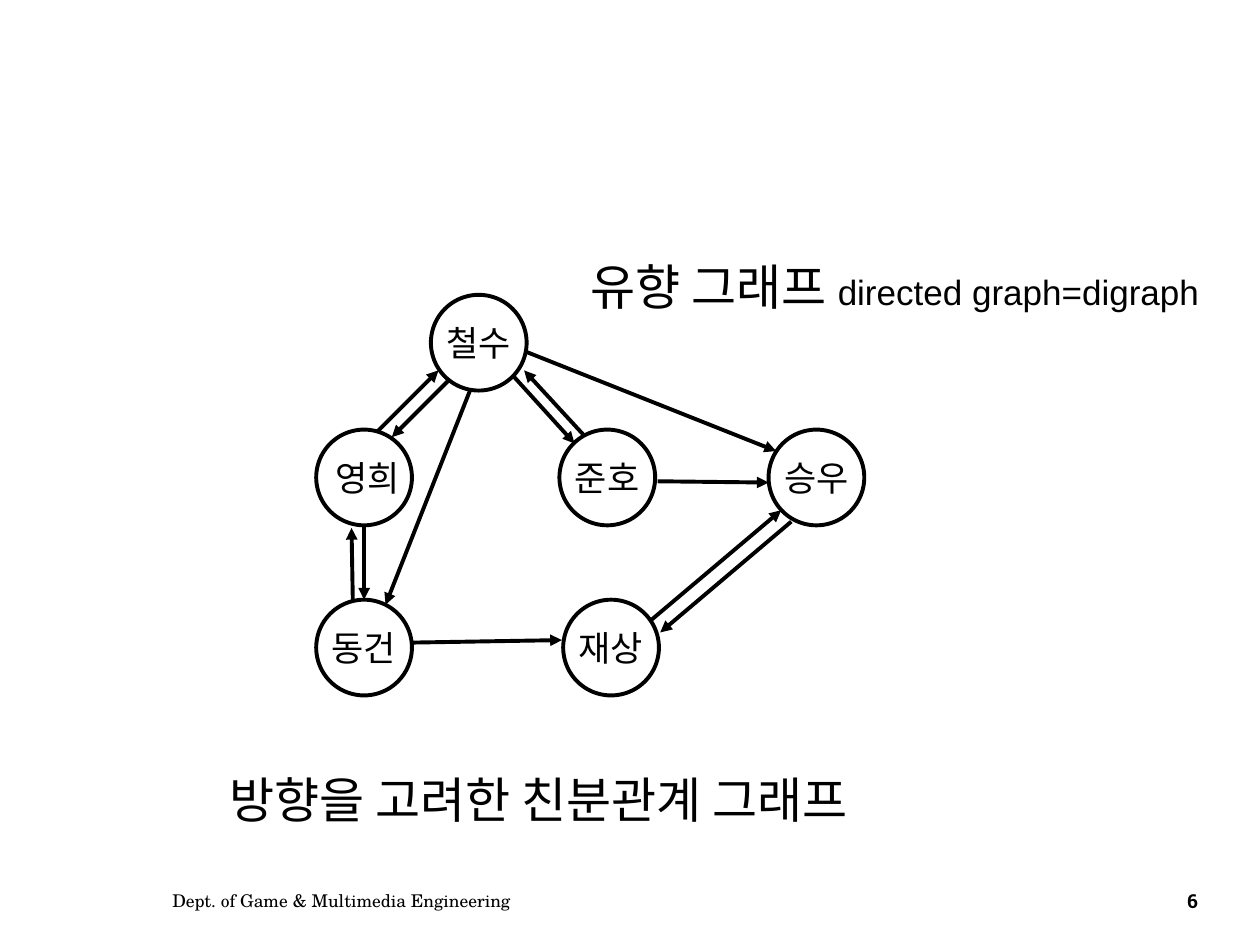
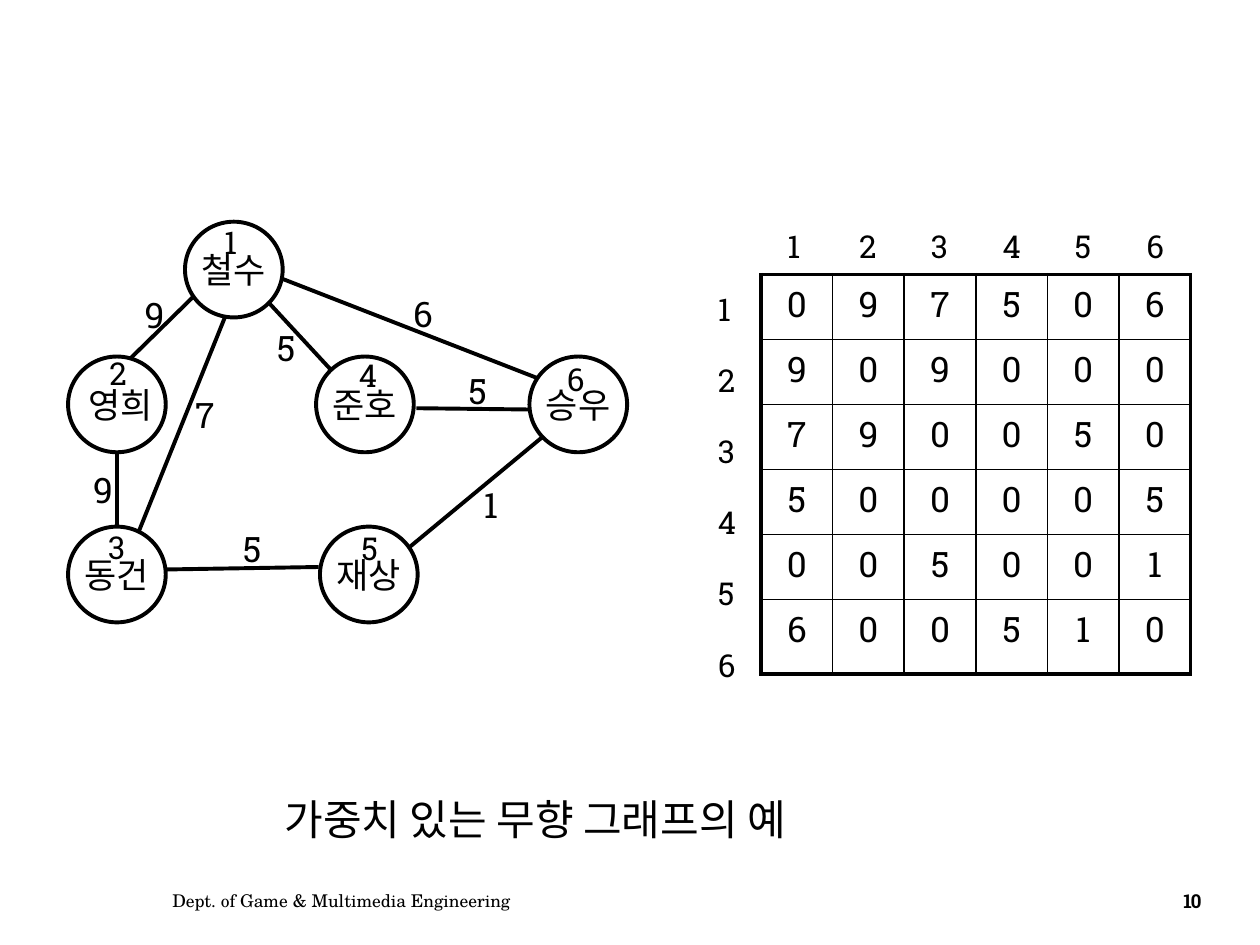
from lxml import etree
from pptx import Presentation
from pptx import util as u
from pptx.dml.color import RGBColor
from pptx.enum import shapes, text
from pptx.oxml.ns import qn

BLACK = RGBColor(0x00, 0x00, 0x00)
HANGUL = "Noto Sans CJK KR"
SLAB = "Roboto Slab"
SERIF = "TeX Gyre Schola"
SANS = "Arial"
BOLD_LINE = 2.25
THIN_LINE = 1
NODE = 0.76

NODES = [
    ("철수", 3.42, 2.34), (" 영희", 2.51, 3.41), ("동건", 2.51, 4.76),
    ("준호", 4.44, 3.41), ("재상", 4.47, 4.76), ("승우", 6.1, 3.41),
]
EDGES = [
    (2.99, 3.43, 3.48, 2.94), (4.17, 2.79, 6.16, 3.58),
    (4.07, 2.98, 4.56, 3.52), (3.27, 5.1, 4.46, 5.08),
    (5.22, 3.82, 6.1, 3.83), (5.17, 4.92, 6.2, 4.05),
    (2.89, 4.17, 2.89, 4.76), (3.73, 3.1, 3.06, 4.8),
]
RETURNS = [
    (3.56, 3.02, 3.11, 3.47), (2.8, 4.76, 2.79, 4.19),
    (6.28, 4.14, 5.24, 5.02), (4.63, 3.45, 4.16, 2.94),
]
NUMBERS = [
    (1.68, 1.72), (0.77, 2.76), (0.76, 4.14),
    (2.75, 2.78), (2.77, 4.15), (4.4, 2.81),
]
WEIGHTS = [
    ("9", 1.05, 2.28), ("7", 1.45, 3.07), ("5", 2.1, 2.54), ("6", 3.18, 2.27),
    ("9", 0.64, 3.67), ("5", 3.62, 2.88), ("1", 3.74, 3.79), ("5", 1.83, 4.14),
]
MATRIX = ["097506", "909000", "790050", "500005", "005001", "600510"]


class Deck:
    def __init__(self):
        self.prs = Presentation()
        self.prs.slide_width = u.Inches(10)
        self.prs.slide_height = u.Inches(7.5)
        self.slide = None

    def page(self, number):
        self.slide = self.prs.slides.add_slide(self.prs.slide_layouts[6])
        self.label("Dept. of Game & Multimedia Engineering",
                   1.27, 6.95, 4.59, 0.4, 10, SERIF, fixed=True)
        para = self.label(number, 9.2, 6.95, 0.53, 0.4, 11, SLAB, fixed=True)
        para.alignment = text.PP_ALIGN.CENTER
        para.font.bold = True
        para._p.pPr.find(qn("a:defRPr")).set("spc", "-70")

    def style(self, para, size, face):
        font = para.font
        font.size = u.Pt(size)
        font.color.rgb = BLACK
        font.name = face
        latin = para._p.pPr.find(qn("a:defRPr")).find(qn("a:latin"))
        east = etree.Element(qn("a:ea"), typeface=HANGUL)
        latin.addnext(east)

    def label(self, words, x, y, w, h, size, face, fixed=False):
        box = self.slide.shapes.add_textbox(
            u.Inches(x), u.Inches(y), u.Inches(w), u.Inches(h))
        frame = box.text_frame
        frame.word_wrap = fixed
        if fixed:
            frame.vertical_anchor = text.MSO_ANCHOR.MIDDLE
        else:
            frame.auto_size = text.MSO_AUTO_SIZE.SHAPE_TO_FIT_TEXT
        para = frame.paragraphs[0]
        para.text = words
        self.style(para, size, face)
        return para

    def digit(self, words, x, y, size=18):
        self.label(words, x, y, 0.33, 0.4, size, SLAB)

    def node(self, name, x, y, w):
        oval = self.slide.shapes.add_shape(
            shapes.MSO_SHAPE.OVAL,
            u.Inches(x), u.Inches(y), u.Inches(w), u.Inches(NODE))
        oval.shadow.inherit = False
        oval.fill.background()
        oval.line.color.rgb = BLACK
        oval.line.width = u.Pt(BOLD_LINE)
        frame = oval.text_frame
        frame.word_wrap = False
        frame.vertical_anchor = text.MSO_ANCHOR.MIDDLE
        para = frame.paragraphs[0]
        para.text = name
        para.alignment = text.PP_ALIGN.CENTER
        self.style(para, 20, HANGUL)

    def edge(self, x1, y1, x2, y2, arrow):
        link = self.slide.shapes.add_connector(
            shapes.MSO_CONNECTOR.STRAIGHT,
            u.Inches(x1), u.Inches(y1), u.Inches(x2), u.Inches(y2))
        link.line.color.rgb = BLACK
        link.line.width = u.Pt(BOLD_LINE)
        props = link._element.spPr
        if arrow:
            etree.SubElement(props.find(qn("a:ln")), qn("a:tailEnd"), type="triangle")
        etree.SubElement(props, qn("a:effectLst"))

    def graph(self, edges, left=2.51, scale=1.0, rise=0.0, arrow=False):
        def across(x):
            return left + (x - 2.51) * scale

        for x1, y1, x2, y2 in edges:
            self.edge(across(x1), y1 - rise, across(x2), y2 - rise, arrow)
        for name, x, y in NODES:
            self.node(name, across(x), y - rise, NODE * scale)

    def border(self, cell, sides):
        props = cell._tc.get_or_add_tcPr()
        for side, bold in sides:
            width = u.Pt(BOLD_LINE if bold else THIN_LINE)
            line = etree.SubElement(props, qn("a:ln" + side), w=str(int(width)))
            fill = etree.SubElement(line, qn("a:solidFill"))
            etree.SubElement(fill, qn("a:srgbClr"), val=str(BLACK))

    def matrix(self, rows, x, y):
        count = len(rows)
        last = count - 1
        grid = self.slide.shapes.add_table(
            count, count, u.Inches(x), u.Inches(y),
            u.Inches(3.41), u.Inches(3.17)).table
        grid.first_row = False
        grid.horz_banding = False
        for i, row in enumerate(rows):
            grid.rows[i].height = u.Inches(0.59 if i == last else 0.516)
            for j, value in enumerate(row):
                cell = grid.cell(i, j)
                self.border(cell, [("L", j == 0), ("R", j == last),
                                   ("T", i == 0), ("B", i == last)])
                cell.fill.background()
                para = cell.text_frame.paragraphs[0]
                para.text = value
                para.alignment = text.PP_ALIGN.CENTER
                para.space_before = u.Pt(4)
                self.style(para, 20, SLAB)
        for i in range(count):
            self.digit(str(i + 1), x - 0.44, y + 0.07 + 0.565 * i)
            self.digit(str(i + 1), x + 0.11 + 0.57 * i, y - 0.43)


def directed(deck):
    deck.page("6")
    deck.graph(EDGES + RETURNS, arrow=True)
    deck.label("방향을 고려한 친분관계 그래프", 1.72, 6.06, 5.58, 0.57, 28, SANS)
    para = deck.label("유향 그래프 ", 4.59, 1.99, 5.12, 0.57, 28, SANS)
    run = para.add_run()
    run.text = "directed graph=digraph"
    run.font.size = u.Pt(20)


def weighted(deck):
    deck.page("10")
    deck.graph(EDGES, left=0.54, scale=1.02, rise=0.58)
    deck.matrix(MATRIX, 6.04, 2.18)
    for i, (x, y) in enumerate(NUMBERS, 1):
        deck.digit(str(i), x, y)
    for value, x, y in WEIGHTS:
        deck.digit(value, x, y, 20)
    deck.label("가중치 있는 무향 그래프의 예", 2.16, 6.25, 4.57, 0.5, 24, SANS)


def main():
    deck = Deck()
    directed(deck)
    weighted(deck)
    deck.prs.save("out.pptx")


if __name__ == "__main__":
    main()
